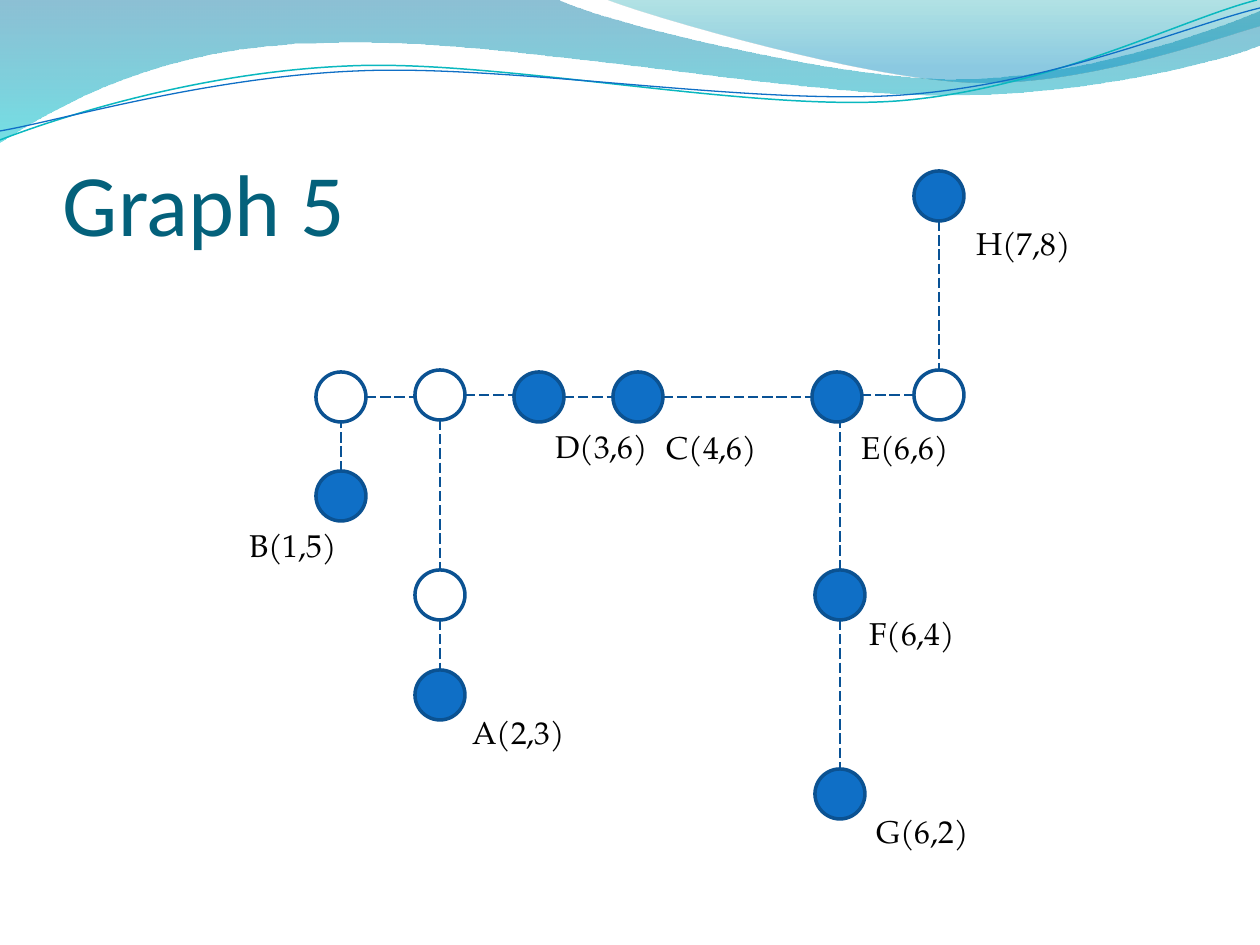
from collections import namedtuple
from dataclasses import dataclass

from lxml.etree import SubElement
from pptx import Presentation
from pptx.dml.color import RGBColor
from pptx.enum.dml import MSO_LINE
from pptx.enum.shapes import MSO_CONNECTOR, MSO_SHAPE
from pptx.enum.text import MSO_ANCHOR, MSO_AUTO_SIZE
from pptx.oxml.ns import qn
from pptx.util import Emu, Pt

Box = namedtuple("Box", "left top width height")


@dataclass(frozen=True)
class Theme:
    """Colours, fonts and sizes of the slide."""
    title: str = "04617B"
    label: str = "000000"
    node: str = "0F6FC6"
    ring: str = "0B5292"
    edge: str = "095295"
    title_font: str = "Calibri"
    label_font: str = "TeX Gyre Pagella"
    title_size: int = 50
    label_size: int = 18
    ring_width: float = 2
    edge_width: float = 0.75


THEME = Theme()
SLIDE = Box(0, 0, 1260, 945)
HEADER = Box(0, 0, 1260, 142)
TITLE = Box(63, 97, 1144, 157)
GRAPH = Box(316, 171, 648, 648)
DIAMETER = 50
LABEL_WIDTH, LABEL_HEIGHT = 129, 50

BANDS = [
    ([(0, 0)], [(558, 0)], [(600, 21), (837, 79), (955, 79)],
     [(1075, 79), (1207, 33), (1260, 11)], [(1260, 45)],
     [(1239, 55), (1096, 96), (940, 95)], [(784, 95), (481, 35), (324, 43)],
     [(163, 45), (58, 105), (0, 142)]),
    ([(607, 0)], [(641, 14), (859, 78), (969, 82)],
     [(1079, 87), (1211, 40), (1260, 26)], [(1260, 0)]),
]
BAND_STOPS = [
    [(0, "0074A1", 45), (1, "00C6CF", 55)],
    [(0, "00A1A9", 30), (0.8, "008BBF", 45)],
]
RIPPLES = [
    ([(0, 140)], [(60, 117), (199, 72), (349, 66)],
     [(498, 59), (747, 112), (898, 101)], [(1049, 89), (1182, 19), (1257, 0)]),
    ([(0, 131)], [(59, 121), (207, 77), (357, 71)],
     [(508, 64), (752, 106), (903, 95)], [(1053, 84), (1186, 26), (1260, 8)]),
]
RIPPLE_LINES = [("0AB8BF", 0.85), ("0F6FC6", 0.75)]

CENTRES = {
    (2, 3): (124, 524), (1, 5): (25, 325), (3, 6): (223, 226), (4, 6): (322, 226),
    (6, 6): (521, 226), (6, 4): (524, 424), (6, 2): (524, 623), (7, 8): (623, 25),
    (2, 6): (124, 224), (2, 4): (124, 424), (1, 6): (25, 226), (7, 6): (623, 224),
}
LABELS = {
    "A": ((2, 3), (20, 12)), "B": ((1, 5), (-104, 24)),
    "C": ((4, 6), (16, 25)), "D": ((3, 6), (4, 24)),
    "E": ((6, 6), (12, 25)), "F": ((6, 4), (17, 13)),
    "G": ((6, 2), (24, 12)), "H": ((7, 8), (25, 22)),
}
ROUTES = [
    [(1, 5), (1, 6), (2, 6), (3, 6), (4, 6), (6, 6)],
    [(2, 6), (2, 4), (2, 3)],
    [(7, 8), (7, 6), (6, 6)],
    [(6, 4), (6, 6)],
    [(6, 4), (6, 2)],
]


def emu(px):
    """Turn px into EMU."""
    return Emu(round(px * 914400 / 126))


def rgb(code):
    """Return the colour for a hex code."""
    return RGBColor.from_string(code)


def add_outline(shapes, box, segments, close):
    """Add a freeform of straight steps and cubic curves relative to the box."""
    places = [[(emu(box.left + x), emu(box.top + y)) for x, y in segment]
              for segment in segments]
    ends = [segment[-1] for segment in places]
    builder = shapes.build_freeform(*ends[0])
    builder.add_line_segments(ends[1:], close=close)
    outline = builder.convert_to_shape()
    outline.shadow.inherit = False
    left, top = (min(axis) for axis in zip(*ends))
    steps = list(outline._element.iter(qn("a:lnTo")))
    for step, segment in zip(steps, places[1:]):
        if len(segment) == 3:
            curve = step.getparent().makeelement(qn("a:cubicBezTo"))
            for x, y in segment:
                SubElement(curve, qn("a:pt"), x=str(x - left), y=str(y - top))
            step.getparent().replace(step, curve)
    return outline


def add_header(slide, box):
    """Draw the translucent bands and the two thin ripples."""
    for segments, stops in zip(BANDS, BAND_STOPS):
        band = add_outline(slide.shapes, box, segments, True)
        band.line.fill.background()
        band.fill.gradient()
        band.fill.gradient_angle = 270
        for stop, (position, code, _) in zip(band.fill.gradient_stops, stops):
            stop.position = position
            stop.color.rgb = rgb(code)
        for colour, (_, _, opacity) in zip(band._element.iter(qn("a:srgbClr")), stops):
            SubElement(colour, qn("a:alpha"), val=str(opacity * 1000))
    ripples = slide.shapes.add_group_shape().shapes
    for segments, (code, width) in zip(RIPPLES, RIPPLE_LINES):
        ripple = add_outline(ripples, box, segments, False)
        ripple.fill.background()
        ripple.line.color.rgb = rgb(code)
        ripple.line.width = Pt(width)


def add_text(shapes, box, text, font, size, colour):
    """Add a one-line text and return its frame."""
    frame = shapes.add_textbox(*map(emu, box)).text_frame
    frame.word_wrap = True
    frame.text = text
    face = frame.paragraphs[0].runs[0].font
    face.name, face.size, face.color.rgb = font, Pt(size), rgb(colour)
    return frame


def add_title(slide, box):
    """Write the slide title on the bottom of its box."""
    title = add_text(slide.shapes, box, "Graph 5",
                     THEME.title_font, THEME.title_size, THEME.title)
    title.vertical_anchor = MSO_ANCHOR.BOTTOM
    title.margin_left = title.margin_right = title.margin_bottom = 0


def add_node(shapes, centre, filled):
    """Draw a round node, filled for a point and hollow for a junction."""
    x, y = (value - DIAMETER // 2 for value in centre)
    node = shapes.add_shape(MSO_SHAPE.OVAL, *map(emu, (x, y, DIAMETER, DIAMETER)))
    node.shadow.inherit = False
    if filled:
        node.fill.solid()
        node.fill.fore_color.rgb = rgb(THEME.node)
    else:
        node.fill.background()
    node.line.color.rgb = rgb(THEME.ring)
    node.line.width = Pt(THEME.ring_width)


def add_edge(shapes, start, end):
    """Draw a dashed line between two rims, level with the start node."""
    along = 0 if abs(end[0] - start[0]) > abs(end[1] - start[1]) else 1
    radius = DIAMETER // 2 if end[along] > start[along] else -DIAMETER // 2
    first, last = list(start), list(start)
    first[along] += radius
    last[along] = end[along] - radius
    edge = shapes.add_connector(MSO_CONNECTOR.STRAIGHT, *map(emu, first + last))
    edge.line.color.rgb = rgb(THEME.edge)
    edge.line.width = Pt(THEME.edge_width)
    edge.line.dash_style = MSO_LINE.LONG_DASH
    SubElement(edge._element.spPr, qn("a:effectLst"))


def add_graph(slide, box):
    """Draw the nodes, edges and labels of the graph in the box."""
    shapes = slide.shapes.add_group_shape().shapes
    places = {point: (box.left + x, box.top + y) for point, (x, y) in CENTRES.items()}
    named = {point for point, _ in LABELS.values()}
    for point, place in places.items():
        add_node(shapes, place, point in named)
    for route in ROUTES:
        for start, end in zip(route, route[1:]):
            add_edge(shapes, places[start], places[end])
    for letter, (point, (dx, dy)) in LABELS.items():
        x, y = places[point]
        label = add_text(shapes, Box(x + dx, y + dy, LABEL_WIDTH, LABEL_HEIGHT),
                         f"{letter}({point[0]},{point[1]})",
                         THEME.label_font, THEME.label_size, THEME.label)
        label.auto_size = MSO_AUTO_SIZE.SHAPE_TO_FIT_TEXT


def main():
    """Build and save the slide."""
    deck = Presentation()
    deck.slide_width, deck.slide_height = emu(SLIDE.width), emu(SLIDE.height)
    slide = deck.slides.add_slide(deck.slide_layouts[6])
    add_header(slide, HEADER)
    add_title(slide, TITLE)
    add_graph(slide, GRAPH)
    deck.save("out.pptx")


if __name__ == "__main__":
    main()
